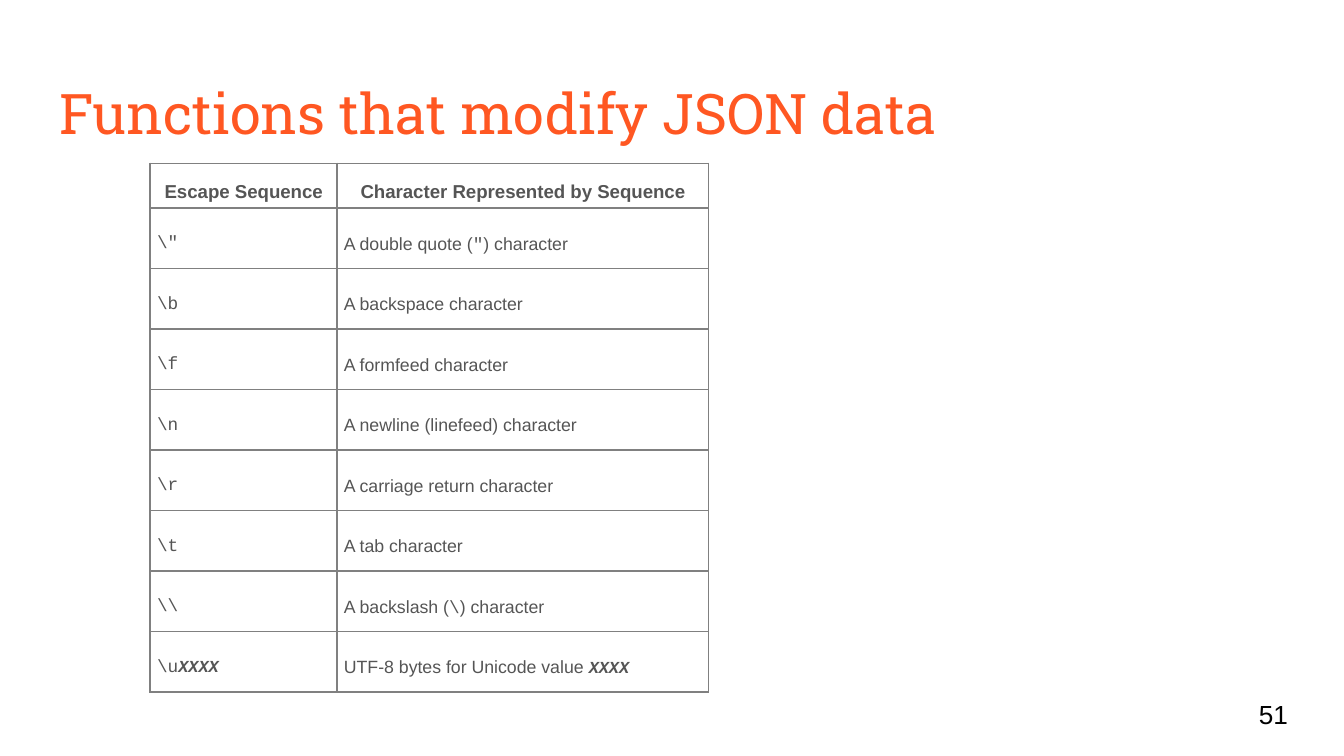
from lxml import etree
from pptx import Presentation
from pptx.dml.color import RGBColor
from pptx.enum import text
from pptx.oxml import ns
from pptx.util import Cm, Pt

ORANGE = RGBColor(0xFF, 0x57, 0x22)
GRAY = RGBColor(0x55, 0x55, 0x55)
BLACK = RGBColor(0, 0, 0)
BORDER = RGBColor(0x80, 0x80, 0x80)

PLAIN = dict(font="Arial", size=9.5, color=GRAY)
HEADING = dict(PLAIN, size=10, bold=True)
CODE = dict(PLAIN, font="Courier New")
VARIABLE = dict(CODE, size=9, bold=True, italic=True)

TITLE = "Functions that modify JSON data"
PAGE_NUMBER = "51"
HEADINGS = ["Escape Sequence", "Character Represented by Sequence"]
ESCAPES = [
    ([('\\"', CODE)], [("A double quote (", PLAIN), ('"', CODE), (") character", PLAIN)]),
    ([("\\b", CODE)], [("A backspace character", PLAIN)]),
    ([("\\f", CODE)], [("A formfeed character", PLAIN)]),
    ([("\\n", CODE)], [("A newline (linefeed) character", PLAIN)]),
    ([("\\r", CODE)], [("A carriage return character", PLAIN)]),
    ([("\\t", CODE)], [("A tab character", PLAIN)]),
    ([("\\\\", CODE)], [("A backslash (", PLAIN), ("\\", CODE), (") character", PLAIN)]),
    ([("\\u", CODE), ("XXXX", VARIABLE)],
     [("UTF-8 bytes for Unicode value ", PLAIN), ("XXXX", VARIABLE)]),
]
COLUMN_WIDTHS = [3.53, 7.02]
HEADER_HEIGHT, ROW_HEIGHT = 0.61, 0.84


def add_text(paragraph, content, font, size, color, bold=False, italic=False):
    run = paragraph.add_run()
    run.text = content
    run.font.name = font
    run.font.size = Pt(size)
    run.font.color.rgb = color
    run.font.bold = bold
    run.font.italic = italic


def add_box(slide, content, left, top, width, height, anchor, **style):
    frame = slide.shapes.add_textbox(Cm(left), Cm(top), Cm(width), Cm(height)).text_frame
    frame.word_wrap = True
    frame.vertical_anchor = anchor
    frame.margin_left = frame.margin_right = Cm(0.25)
    frame.margin_top = frame.margin_bottom = Cm(0.25)
    add_text(frame.paragraphs[0], content, **style)


def add_borders(cell):
    properties = cell._tc.get_or_add_tcPr()
    for side in ("lnL", "lnR", "lnT", "lnB"):
        line = etree.SubElement(properties, ns.qn(f"a:{side}"), w=str(Pt(1)))
        fill = etree.SubElement(line, ns.qn("a:solidFill"))
        etree.SubElement(fill, ns.qn("a:srgbClr"), val=str(BORDER))


def fill_cell(cell, runs, margin_x, margin_y, alignment):
    add_borders(cell)
    cell.fill.background()
    cell.vertical_anchor = text.MSO_ANCHOR.MIDDLE
    cell.margin_left = cell.margin_right = Cm(margin_x)
    cell.margin_top = cell.margin_bottom = Cm(margin_y)
    paragraph = cell.text_frame.paragraphs[0]
    paragraph.alignment = alignment
    paragraph.line_spacing = 1.6
    for content, style in runs:
        add_text(paragraph, content, **style)


def add_escape_table(slide):
    rows = [[[(heading, HEADING)] for heading in HEADINGS], *ESCAPES]
    heights = [HEADER_HEIGHT] + [ROW_HEIGHT] * len(ESCAPES)
    table = slide.shapes.add_table(len(rows), len(HEADINGS), Cm(2.84), Cm(3.09),
                                   Cm(sum(COLUMN_WIDTHS)), Cm(sum(heights))).table
    table.first_row = table.horz_banding = False
    for column, width in zip(table.columns, COLUMN_WIDTHS):
        column.width = Cm(width)
    for index, (row, height) in enumerate(zip(rows, heights)):
        table.rows[index].height = Cm(height)
        if index == 0:
            layout = (0.08, 0.08, text.PP_ALIGN.CENTER)
        else:
            layout = (0.13, 0.25, text.PP_ALIGN.LEFT)
        for column, runs in enumerate(row):
            fill_cell(table.cell(index, column), runs, *layout)


def main():
    presentation = Presentation()
    presentation.slide_width, presentation.slide_height = Cm(25.4), Cm(14.29)
    slide = presentation.slides.add_slide(presentation.slide_layouts[6])
    add_box(slide, TITLE, 0.87, 1.24, 23.67, 1.6, text.MSO_ANCHOR.TOP,
            font="Roboto Slab", size=30, color=ORANGE)
    add_escape_table(slide)
    add_box(slide, PAGE_NUMBER, 23.54, 12.95, 1.52, 1.09, text.MSO_ANCHOR.MIDDLE,
            font="Arial", size=14, color=BLACK)
    presentation.save("out.pptx")


if __name__ == "__main__":
    main()
